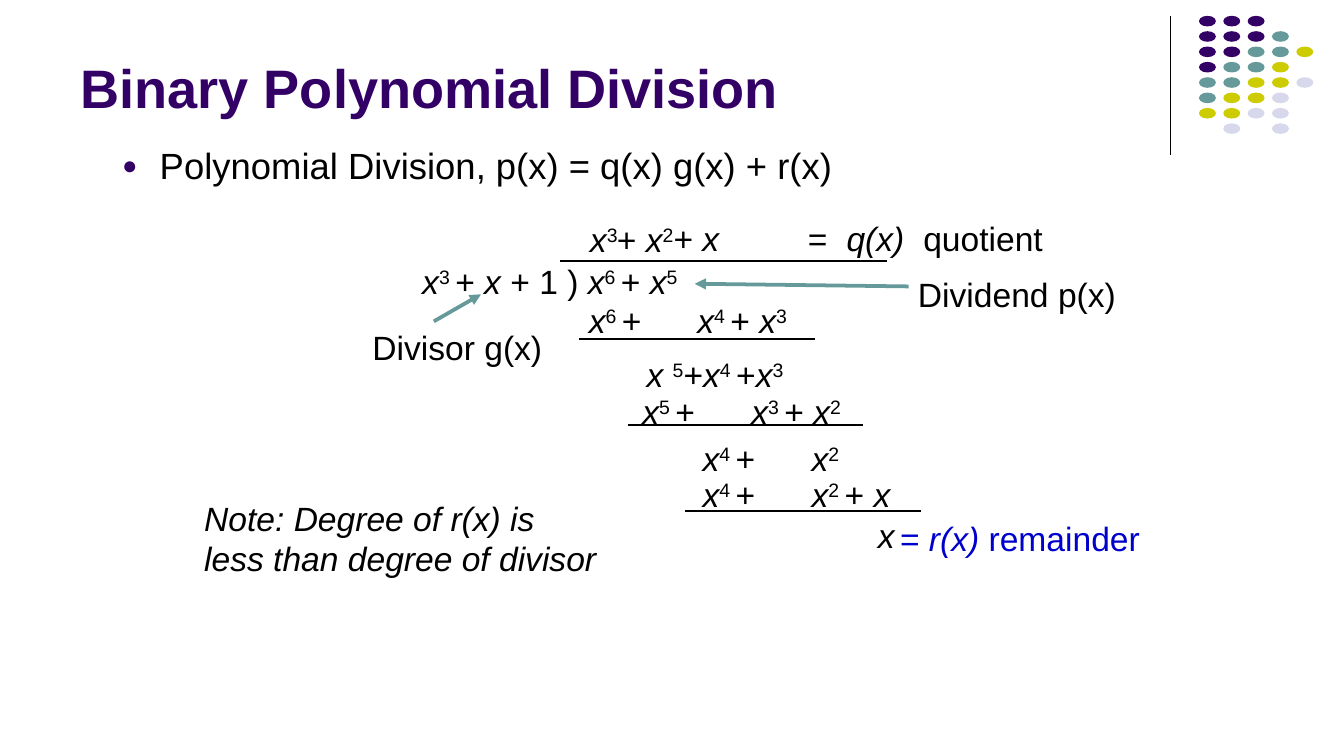
from lxml import etree
from pptx import Presentation
from pptx.dml.color import RGBColor
from pptx.enum.shapes import MSO_CONNECTOR as CONN, MSO_SHAPE as SHAPE
from pptx.enum.text import MSO_ANCHOR as ANCHOR
from pptx.oxml.ns import qn
from pptx.util import Cm, Pt

BLACK = RGBColor(0x00, 0x00, 0x00)
PURPLE = RGBColor(0x33, 0x00, 0x66)
TEAL = RGBColor(0x66, 0x99, 0x99)
OLIVE = RGBColor(0xCC, 0xCC, 0x00)
LAVENDER = RGBColor(0xD8, 0xD8, 0xEC)
BLUE = RGBColor(0x00, 0x00, 0xCC)

DOT_COLORS = {"P": PURPLE, "T": TEAL, "Y": OLIVE, "L": LAVENDER}
DOT_ROWS = ["PPP", "PPPT", "PPTTY", "PTTY", "TTYYL", "TYYL", "YYLL", ".L.L"]

# x, y, width, text
QUOTIENT = [
    (10.97, 4.04, 1.0, "/x|^3"),
    (11.48, 4.04, 1.6, "+ |/x|^2"),
    (12.55, 4.01, 1.4, "+ |/x"),
    (15.09, 4.01, 0.8, "="),
    (15.82, 4.01, 1.6, "/q(x)"),
    (17.27, 4.01, 2.8, "quotient"),
]
STEPS = [
    (7.8, 4.83, 5.5, "/x|^3 |+ |/x |+ 1 ) |/x|^6 |+ |/x|^5"),
    (10.95, 5.56, 1.6, "/x|^6 |+"),
    (13.0, 5.56, 2.3, "/x|^4 |+ |/x|^3"),
    (12.04, 6.58, 3.2, "/x |^5|+|/x|^4 |+|/x|^3"),
    (11.96, 7.29, 1.6, "/x|^5 |+"),
    (14.02, 7.29, 2.3, "/x|^3 |+ |/x|^2"),
    (13.1, 8.18, 1.6, "/x|^4 |+"),
    (15.16, 8.18, 1.0, "/x|^2"),
    (13.1, 8.86, 1.6, "/x|^4 |+"),
    (15.16, 8.86, 2.1, "/x|^2 |+ |/x"),
    (16.41, 9.63, 0.7, "/x"),
]
LABELS = [
    (6.86, 6.07, 3.8, "Divisor g(x)"),
    (17.17, 5.08, 4.3, "Dividend p(x)"),
]
SUBTRACTION_BARS = [(10.95, 6.4), (11.86, 8.03), (12.95, 9.65)]


class Deck:
    def __init__(self, width, height, font):
        self.prs = Presentation()
        self.prs.slide_width, self.prs.slide_height = Cm(width), Cm(height)
        self.s = self.prs.slides.add_slide(self.prs.slide_layouts[6])
        self.font = font

    def text(self, x, y, w, h, text, color=BLACK, size=18, bold=False,
             inset=(0.25, 0.13), anchor=ANCHOR.TOP):
        """Split text at "|"; a leading "/" means italic, "^" superscript."""
        tf = self.s.shapes.add_textbox(Cm(x), Cm(y), Cm(w), Cm(h)).text_frame
        side, edge = map(Cm, inset)
        frame = {"word_wrap": True, "vertical_anchor": anchor,
                 "margin_left": side, "margin_right": side,
                 "margin_top": edge, "margin_bottom": edge}
        for name, value in frame.items():
            setattr(tf, name, value)
        for i, line in enumerate(text.split("\n")):
            p = tf.add_paragraph() if i else tf.paragraphs[0]
            for piece in line.split("|"):
                r = p.add_run()
                r.text = piece.lstrip("/^")
                style = {"name": self.font, "size": Pt(size), "bold": bold,
                         "italic": piece.startswith("/")}
                for name, value in style.items():
                    setattr(r.font, name, value)
                r.font.color.rgb = color
                if piece.startswith("^"):
                    r._r.get_or_add_rPr().set("baseline", "30000")
        return tf

    def term(self, x, y, w, text, color=BLACK):
        self.text(x, y, w, 0.97, text, color, inset=(0.18, 0.1))

    def bullet(self, x, y, w, h, text, size, indent, color):
        p = self.text(x, y, w, h, text, size=size).paragraphs[0]
        p.line_spacing = 0.9
        pPr = p._p.get_or_add_pPr()
        pPr.set("marL", str(Cm(indent)))
        pPr.set("indent", str(-Cm(indent)))
        clr = etree.SubElement(pPr, qn("a:buClr"))
        etree.SubElement(clr, qn("a:srgbClr"), val=str(color))
        etree.SubElement(pPr, qn("a:buSzPct"), val="70000")
        etree.SubElement(pPr, qn("a:buFont"), typeface=self.font)
        etree.SubElement(pPr, qn("a:buChar"), char="●")

    def line(self, x1, y1, x2, y2, color=BLACK, width=1, arrow=False):
        c = self.s.shapes.add_connector(
            CONN.STRAIGHT, Cm(x1), Cm(y1), Cm(x2), Cm(y2))
        c.line.color.rgb = color
        c.line.width = Pt(width)
        if arrow:
            etree.SubElement(c.line._get_or_add_ln(), qn("a:tailEnd"),
                             type="triangle")
        etree.SubElement(c._element.spPr, qn("a:effectLst"))

    def dot(self, x, y, w, h, color):
        sp = self.s.shapes.add_shape(SHAPE.OVAL, Cm(x), Cm(y), Cm(w), Cm(h))
        sp.shadow.inherit = False
        sp.fill.solid()
        sp.fill.fore_color.rgb = color
        sp.line.fill.background()


def main():
    deck = Deck(25.4, 14.28, "Arial")

    deck.line(22.12, 0.3, 22.12, 2.92, width=0.75)
    for row, keys in enumerate(DOT_ROWS):
        for col, key in enumerate(keys):
            if key in DOT_COLORS:
                deck.dot(22.66 + 0.46 * col, 0.3 + 0.29 * row, 0.32, 0.2,
                         DOT_COLORS[key])

    deck.text(1.27, 0.25, 20.95, 2.13, "Binary Polynomial Division", PURPLE,
              size=29, bold=True, anchor=ANCHOR.BOTTOM)
    deck.bullet(2.06, 2.67, 19.2, 1.04,
                "Polynomial Division, p(x) = q(x) g(x) + r(x)",
                size=19.5, indent=0.71, color=PURPLE)

    for item in QUOTIENT + STEPS + LABELS:
        deck.term(*item)
    deck.term(16.83, 9.68, 5.0, "= |/r(x)| remainder", BLUE)

    deck.line(10.59, 4.93, 16.76, 4.93)
    for x, y in SUBTRACTION_BARS:
        deck.line(x, y, x + 4.45, y)
    deck.line(8.2, 6.07, 9.09, 5.56, TEAL, 2, arrow=True)
    deck.line(17.17, 5.41, 13.13, 5.36, TEAL, 2, arrow=True)

    deck.text(3.61, 9.27, 8.03, 1.8,
              "/Note: Degree of r(x) is\n/less than degree of divisor")

    deck.prs.save("out.pptx")


if __name__ == "__main__":
    main()
